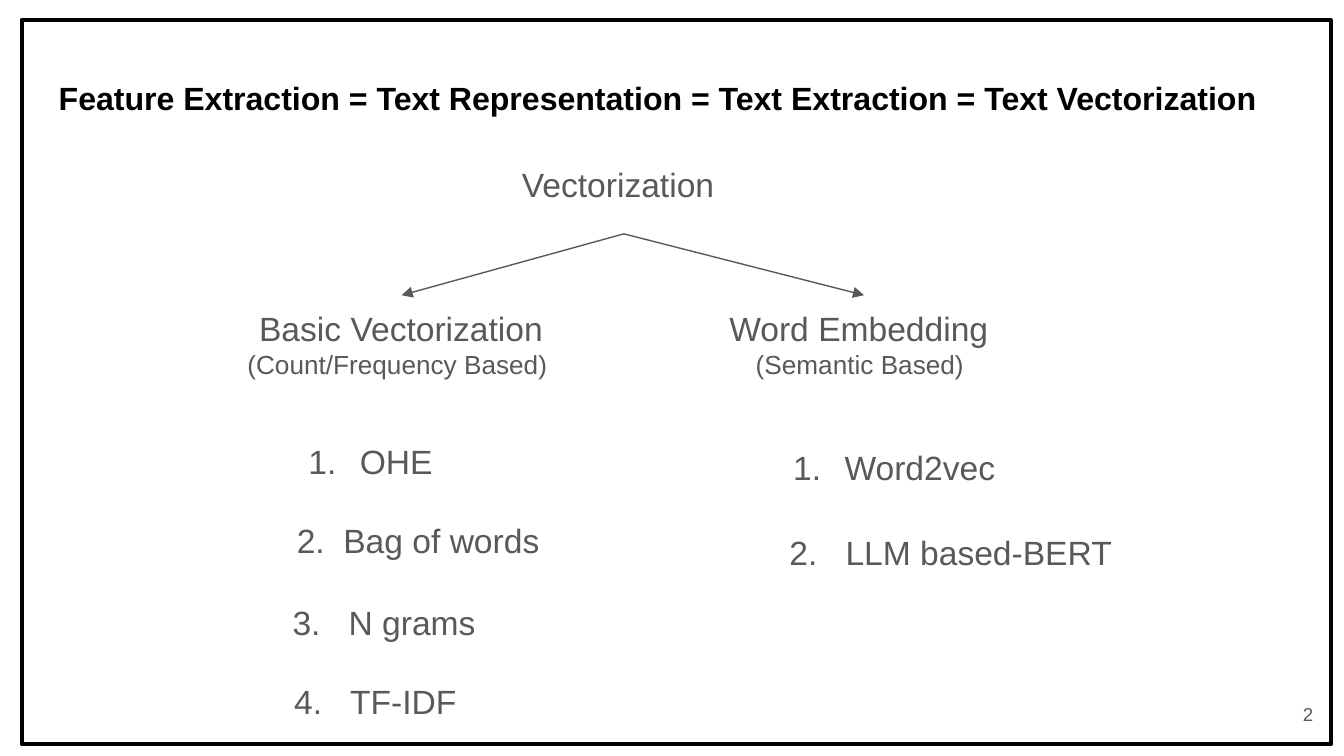
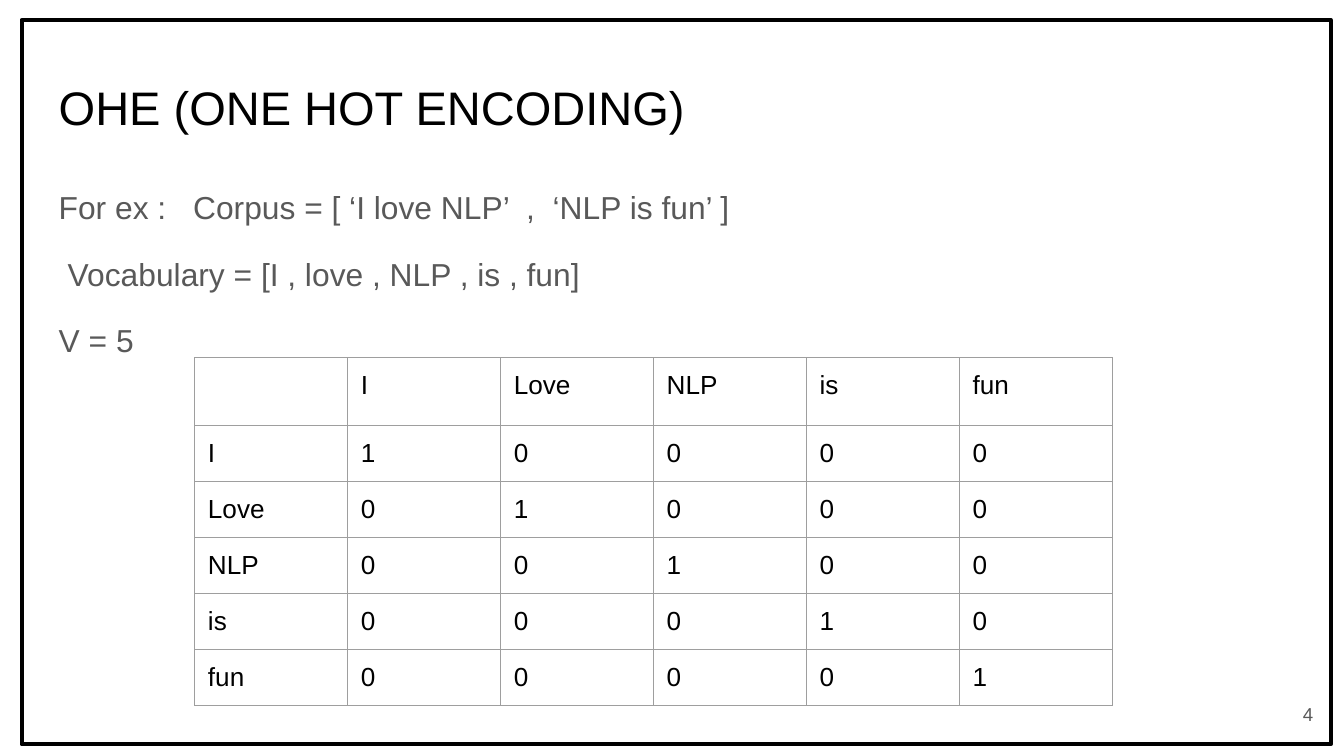
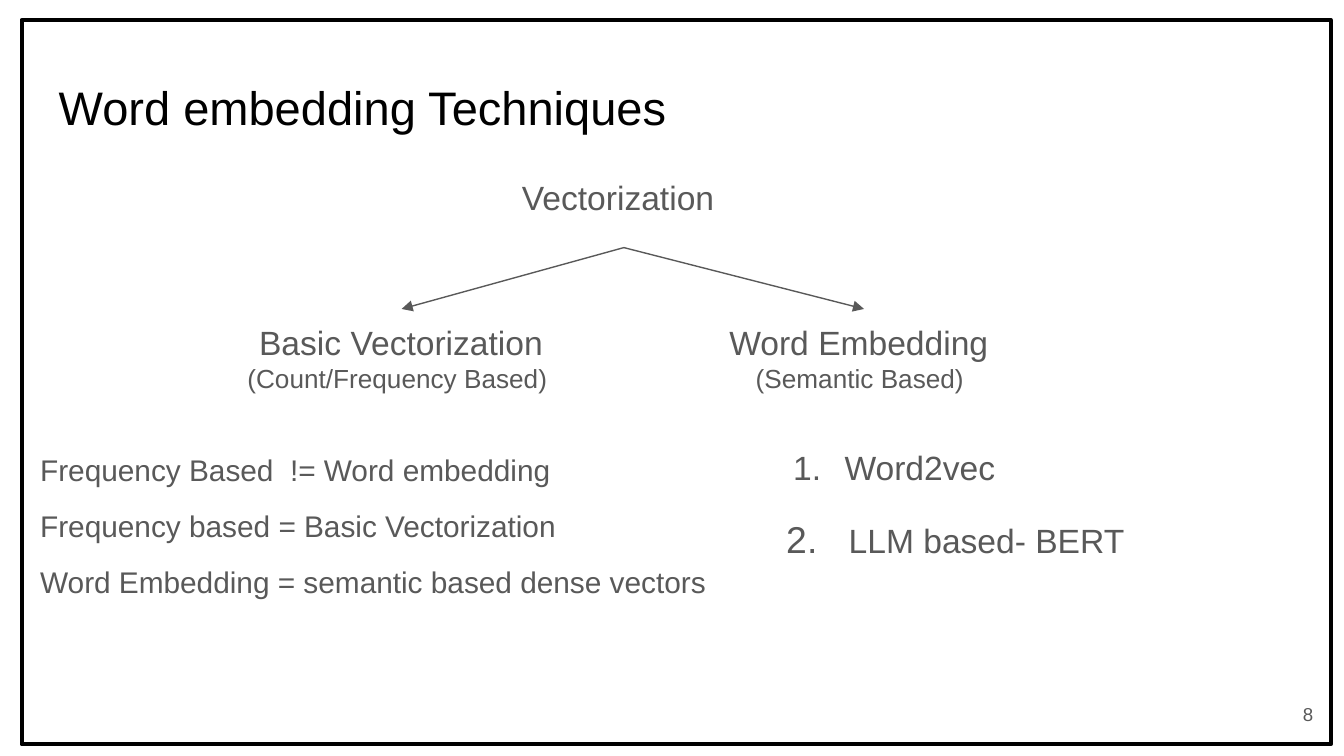
from lxml.etree import SubElement
from pptx import Presentation
from pptx.dml.color import RGBColor
from pptx.enum.shapes import MSO_CONNECTOR, MSO_SHAPE
from pptx.enum.text import MSO_ANCHOR, MSO_AUTO_SIZE, PP_ALIGN
from pptx.oxml.ns import qn
from pptx.util import Cm, Pt

COLORS = {"ink": "000000", "text": "595959", "grid": "9E9E9E"}
FONT = "Arial"
INSET = Cm(0.25)
TITLE_ONLY = 5


def color(name):
    return RGBColor.from_string(COLORS[name])


def write(frame, text, size=18, ink="text", bold=False, align=PP_ALIGN.LEFT,
          spacing=1.0, before=0, after=0, margin=0, hang=0, tab=None,
          number=None, number_scale=100):
    """Add one paragraph to a text frame; the first call fills the empty one."""
    para = frame.paragraphs[0]
    if para.runs:
        para = frame.add_paragraph()
    para.alignment = align
    para.line_spacing = spacing
    para.space_before, para.space_after = Pt(before), Pt(after)
    span = para.add_run()
    span.text = text
    span.font.name, span.font.size, span.font.bold = FONT, Pt(size), bold
    span.font.color.rgb = color(ink)

    # Indents, numbering and tab stops
    props = para._p.get_or_add_pPr()
    props.set("marL", str(Cm(margin)))
    props.set("indent", str(-Cm(hang)))
    if number:
        SubElement(props, qn("a:buSzPct"), val=str(number_scale * 1000))
        SubElement(props, qn("a:buFont"), typeface=FONT)
        SubElement(props, qn("a:buAutoNum"), type="arabicPeriod", startAt=str(number))
    else:
        SubElement(props, qn("a:buNone"))
    if tab:
        stops = SubElement(props, qn("a:tabLst"))
        SubElement(stops, qn("a:tab"), pos=str(Cm(tab)), algn="l")
    return para


class SlideBuilder:
    def __init__(self):
        self.deck = Presentation()
        self.deck.slide_width, self.deck.slide_height = Cm(25.4), Cm(14.29)
        self.page = None

    def start(self, title, size=25.2, bold=False):
        self.page = self.deck.slides.add_slide(self.deck.slide_layouts[TITLE_ONLY])
        box = self.page.shapes.title
        box.left, box.top, box.width, box.height = Cm(0.86), Cm(1.24), Cm(23.67), Cm(1.6)
        write(self.prepare(box.text_frame), title, size=size, ink="ink", bold=bold)

    def prepare(self, frame, anchor=MSO_ANCHOR.TOP):
        frame.word_wrap = True
        frame.auto_size = MSO_AUTO_SIZE.NONE
        frame.vertical_anchor = anchor
        frame.margin_left = frame.margin_right = INSET
        frame.margin_top = frame.margin_bottom = INSET
        return frame

    def text_box(self, left, top, width, height, anchor=MSO_ANCHOR.TOP):
        box = self.page.shapes.add_textbox(Cm(left), Cm(top), Cm(width), Cm(height))
        return self.prepare(box.text_frame, anchor)

    def numbered(self, number, text, left, top, margin, hang, width=5.82, **style):
        write(self.text_box(left, top, width, 1.4), text, number=number,
              margin=margin, hang=hang, **style)

    def label(self, left, top, heading, note=None):
        frame = self.text_box(left, top, 6.88, 1.6)
        write(frame, heading, align=PP_ALIGN.CENTER)
        if note:
            write(frame, note, size=14, align=PP_ALIGN.CENTER)

    def arrow(self, start, end):
        line = self.page.shapes.add_connector(
            MSO_CONNECTOR.STRAIGHT, *(Cm(value) for value in start + end))
        line.line.color.rgb = color("text")
        line.line.width = Pt(0.75)
        SubElement(line.line._get_or_add_ln(), qn("a:tailEnd"), type="triangle")
        SubElement(line._element.spPr, qn("a:effectLst"))

    def tree(self, top):
        """Vectorization and its two branches."""
        branch_top = top + 2.74
        self.label(8.33, top, "Vectorization ")
        branches = [
            (4.14, 7.59, "Basic Vectorization", "(Count/Frequency Based) "),
            (12.88, 16.33, "Word Embedding ", "(Semantic Based) "),
        ]
        for left, tip, heading, note in branches:
            self.label(left, branch_top, heading, note)
            self.arrow((11.79, top + 1.58), (tip, branch_top))
        self.numbered(1, "Word2vec", 13.84, 8.2, 1.27, 0.97, align=PP_ALIGN.CENTER)

    def table(self, left, top, column_width, row_heights, rows):
        grid = self.page.shapes.add_table(
            len(rows), len(rows[0]), Cm(left), Cm(top),
            Cm(column_width * len(rows[0])), Cm(sum(row_heights))).table
        grid.first_row = grid.horz_banding = False
        for column in grid.columns:
            column.width = Cm(column_width)
        for row, height, values in zip(grid.rows, row_heights, rows):
            row.height = Cm(height)
            for cell, value in zip(row.cells, values):
                self.fill_cell(cell, value)

    def fill_cell(self, cell, value):
        cell.margin_left = cell.margin_right = INSET
        cell.margin_top = cell.margin_bottom = INSET
        props = cell._tc.get_or_add_tcPr()
        for side in ("lnL", "lnR", "lnT", "lnB"):
            border = SubElement(props, qn(f"a:{side}"), w=str(Pt(0.75)))
            fill = SubElement(border, qn("a:solidFill"))
            SubElement(fill, qn("a:srgbClr"), val=COLORS["grid"])
        cell.fill.background()
        if value:
            write(cell.text_frame, value, size=14, ink="ink")

    def finish(self, number):
        """Page number and the frame around the page."""
        frame = self.text_box(23.55, 12.95, 1.52, 1.09, MSO_ANCHOR.MIDDLE)
        write(frame, str(number), size=10, align=PP_ALIGN.RIGHT)
        border = self.page.shapes.add_shape(
            MSO_SHAPE.RECTANGLE, Cm(0.41), Cm(0.38), Cm(24.74), Cm(13.69))
        border.shadow.inherit = False
        border.fill.background()
        border.line.color.rgb = color("ink")
        border.line.width = Pt(2.25)


def overview_slide(builder):
    builder.start("Feature Extraction = Text Representation = Text Extraction"
                  " = Text Vectorization", size=17.2, bold=True)
    builder.tree(2.84)
    techniques = [
        ("OHE", 5.28, 8.08, 1.27, 0.97),
        ("Bag of words", 5.0, 9.58, 1.24, 0.88),
        ("N grams", 5.28, 11.13, 1.06, 1.06),
        ("TF-IDF", 5.13, 12.62, 1.24, 1.06),
    ]
    for number, technique in enumerate(techniques, 1):
        builder.numbered(number, *technique)
    builder.numbered(2, "LLM based-BERT", 13.61, 9.8, 2.12, 1.06, width=10)
    builder.finish(2)


def encoding_slide(builder):
    builder.start("OHE (ONE HOT ENCODING)")

    # Corpus and vocabulary
    body = builder.text_box(0.86, 3.2, 23.67, 9.5)
    style = {"size": 17, "spacing": 1.15}
    write(body, "For ex :\tCorpus = [ ‘I love NLP’  ,  ‘NLP is fun’ ]", tab=2.53, **style)
    write(body, "Vocabulary = [I , love , NLP , is , fun]", before=12, margin=0.17, **style)
    write(body, "V = 5", before=12, **style)

    # One-hot matrix
    words = ["I", "Love", "NLP", "is", "fun"]
    rows = [[""] + words]
    rows += [[word] + ["1" if word == other else "0" for other in words] for word in words]
    builder.table(3.68, 6.76, 2.89, [1.2] + [1.06] * len(words), rows)
    builder.finish(4)


def embedding_slide(builder):
    builder.start("Word embedding Techniques")
    body = builder.text_box(0.51, 8.33, 13.13, 4.27)
    style = {"size": 16, "spacing": 0.95}
    write(body, "Frequency Based  != Word embedding", **style)
    write(body, "Frequency based = Basic Vectorization", before=12, **style)
    write(body, "Word Embedding = semantic based dense vectors", before=12, after=12, **style)
    builder.tree(3.1)
    builder.numbered(2, "LLM based- BERT", 13.44, 9.58, 2.35, 1.18, width=10,
                     number_scale=111)
    builder.finish(8)


def main():
    builder = SlideBuilder()
    overview_slide(builder)
    encoding_slide(builder)
    embedding_slide(builder)
    builder.deck.save("out.pptx")


if __name__ == "__main__":
    main()
